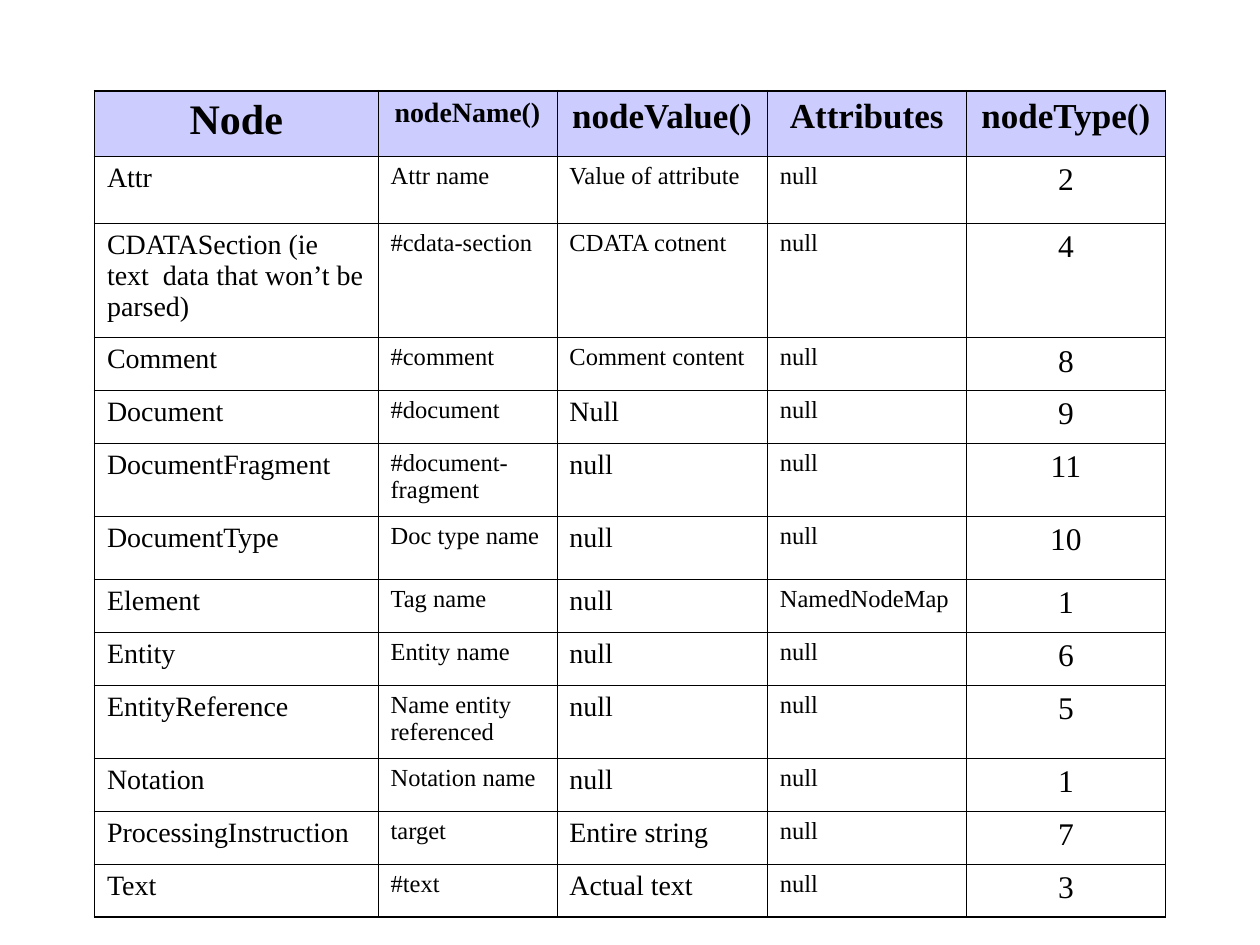
from lxml.etree import SubElement
from pptx import Presentation
from pptx.dml.color import RGBColor
from pptx.enum.text import PP_ALIGN
from pptx.oxml.ns import qn
from pptx.util import Inches, Pt

FONT = "Times New Roman"
BLACK = "000000"
HEADER_FILL = "CCCCFF"
INNER_LINE, OUTER_LINE = 0.45, 1.08

COL_WIDTHS = [2.25, 1.42, 1.67, 1.58, 1.58]
ROW_HEIGHTS = [0.52, 0.53, 0.91, 0.42, 0.42, 0.58, 0.5,
               0.42, 0.42, 0.58, 0.42, 0.42, 0.42]
HEADER_SIZES = [24, 16, 20, 20, 20]
BODY_SIZES = [16, 14, 16, 14, 18]
LONG_VALUE_ROWS = range(1, 4)  # node values set in smaller type

ROWS = [
    ("Node", "nodeName()", "nodeValue()", "Attributes", "nodeType()"),
    ("Attr", "Attr name", "Value of attribute", "null", "2"),
    ("CDATASection (ie text  data that won’t be parsed)", "#cdata-section",
     "CDATA cotnent", "null", "4"),
    ("Comment", "#comment", "Comment content", "null", "8"),
    ("Document", "#document", "Null", "null", "9"),
    ("DocumentFragment", "#document-fragment", "null", "null", "11"),
    ("DocumentType", "Doc type name", "null", "null", "10"),
    ("Element", "Tag name", "null", "NamedNodeMap", "1"),
    ("Entity", "Entity name", "null", "null", "6"),
    ("EntityReference", "Name entity referenced", "null", "null", "5"),
    ("Notation", "Notation name", "null", "null", "1"),
    ("ProcessingInstruction", "target", "Entire string", "null", "7"),
    ("Text", "#text", "Actual text", "null", "3"),
]


def rgb(color):
    return RGBColor.from_string(color)


def text_size(row, col):
    if row == 0:
        return HEADER_SIZES[col]
    if col == 2 and row in LONG_VALUE_ROWS:
        return 14
    return BODY_SIZES[col]


def set_text(cell, text, size, bold, centered):
    cell.text_frame.text = text
    p = cell.text_frame.paragraphs[0]
    p.alignment = PP_ALIGN.CENTER if centered else PP_ALIGN.LEFT
    p.space_before = Pt(size / 4)
    font = p.runs[0].font
    font.name = FONT
    font.size = Pt(size)
    font.bold = bold
    font.color.rgb = rgb(BLACK)


def set_borders(cell, row, col):
    """Draw thin lines inside the table and thicker ones on its outline."""
    on_outline = {
        "L": col == 0,
        "R": col == len(COL_WIDTHS) - 1,
        "T": row == 0,
        "B": row == len(ROWS) - 1,
    }
    tc_pr = cell._tc.get_or_add_tcPr()
    for side, outer in on_outline.items():
        width = Pt(OUTER_LINE if outer else INNER_LINE)
        ln = SubElement(tc_pr, qn(f"a:ln{side}"), w=str(width))
        fill = SubElement(ln, qn("a:solidFill"))
        SubElement(fill, qn("a:srgbClr"), val=BLACK)


def set_fill(cell, color=None):
    if color is None:
        cell.fill.background()
    else:
        cell.fill.solid()
        cell.fill.fore_color.rgb = rgb(color)


def add_node_table(slide):
    frame = slide.shapes.add_table(
        len(ROWS), len(COL_WIDTHS), Inches(0.75), Inches(0.72),
        Inches(sum(COL_WIDTHS)), Inches(sum(ROW_HEIGHTS)))
    table = frame.table
    table.first_row = False
    table.horz_banding = False
    for column, width in zip(table.columns, COL_WIDTHS):
        column.width = Inches(width)
    for row, height in zip(table.rows, ROW_HEIGHTS):
        row.height = Inches(height)

    for r, texts in enumerate(ROWS):
        header = r == 0
        for c, text in enumerate(texts):
            cell = table.cell(r, c)
            set_text(cell, text, text_size(r, c), bold=header,
                     centered=header or c == len(texts) - 1)
            set_borders(cell, r, c)
            set_fill(cell, HEADER_FILL if header else None)


def main():
    prs = Presentation()
    prs.slide_width = Inches(10)
    prs.slide_height = Inches(7.5)
    slide = prs.slides.add_slide(prs.slide_layouts[6])
    add_node_table(slide)
    prs.save("out.pptx")


if __name__ == "__main__":
    main()
